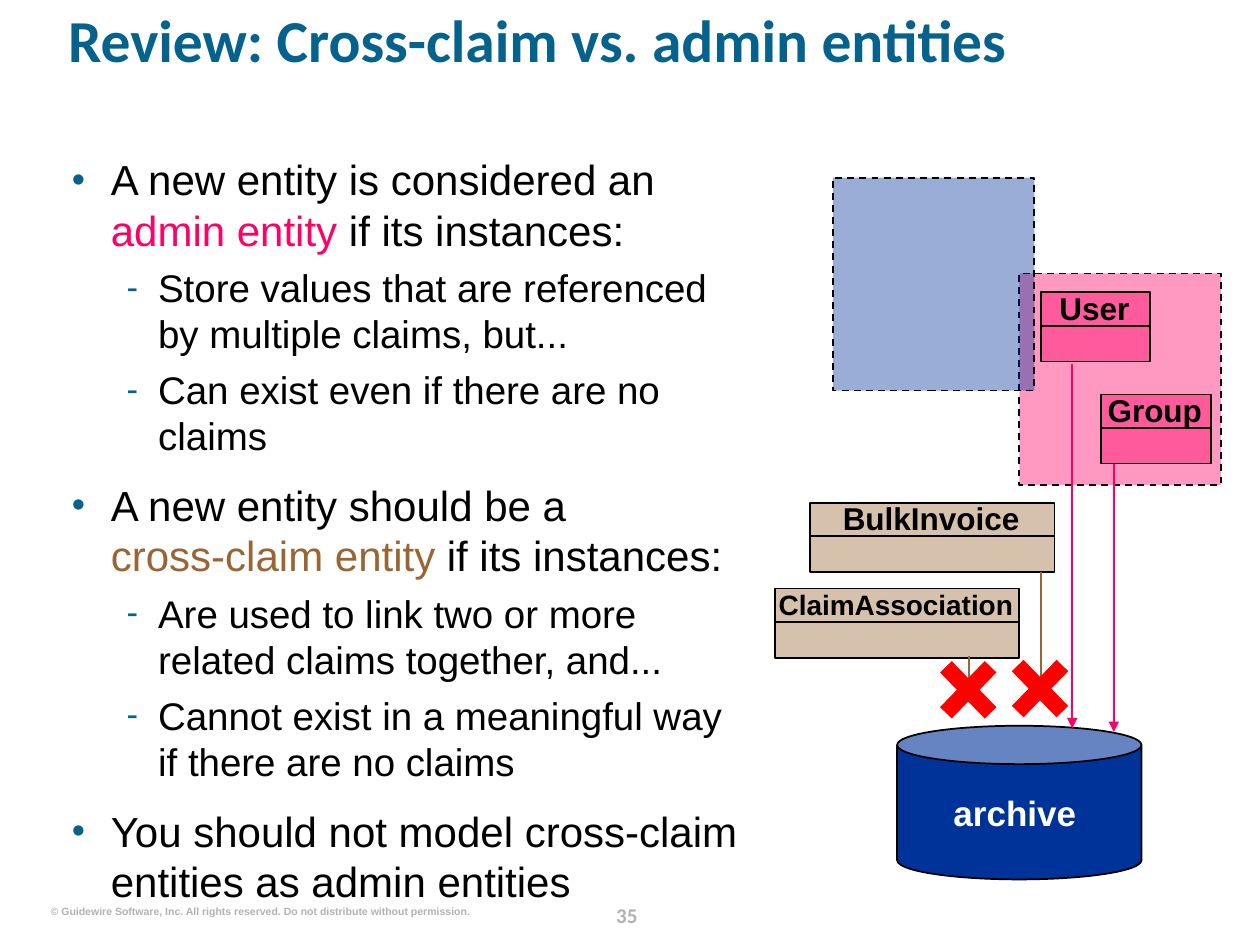
from lxml import etree
from pptx import Presentation
from pptx.dml.color import RGBColor
from pptx.enum.dml import MSO_LINE
from pptx.enum.shapes import MSO_CONNECTOR, MSO_SHAPE
from pptx.enum.text import MSO_ANCHOR, MSO_AUTO_SIZE, PP_ALIGN
from pptx.oxml.ns import qn
from pptx.util import Inches, Pt

RECTANGLE, CAN = MSO_SHAPE.RECTANGLE, MSO_SHAPE.CAN
LEFT, CENTER, RIGHT = PP_ALIGN.LEFT, PP_ALIGN.CENTER, PP_ALIGN.RIGHT
COLORS = {
    "teal": "04628C", "gray": "B2B2B2", "black": "000000", "white": "FFFFFF",
    "pink": "FF0066", "brown": "996633", "navy": "003399", "red": "FF0000",
}

presentation = Presentation()
presentation.slide_width, presentation.slide_height = Inches(10), Inches(7.5)
column = presentation.slide_width / 100
row = presentation.slide_height / 75
slide = presentation.slides.add_slide(presentation.slide_layouts[1])


def write(shape, box, runs, size, color, font="Arial", bold=True, align=CENTER, wrap=True):
    """Place a text shape on the grid and add one paragraph of (text, color) runs."""
    left, top, width, height = box
    shape.left, shape.top = int(left * column), int(top * row)
    shape.width, shape.height = int(width * column), int(height * row)
    frame = shape.text_frame
    frame.margin_left = frame.margin_right = frame.margin_top = frame.margin_bottom = 0
    frame.word_wrap = wrap
    frame.auto_size = MSO_AUTO_SIZE.NONE
    frame.vertical_anchor = MSO_ANCHOR.TOP
    paragraph = frame.paragraphs[0]
    if paragraph.runs:
        paragraph = frame.add_paragraph()
    paragraph.alignment = align
    for text, run_color in runs:
        if text == "\n":
            paragraph.add_line_break()
            continue
        run = paragraph.add_run()
        run.text = text
        run.font.name, run.font.size, run.font.bold = font, Pt(size), bold
        run.font.color.rgb = RGBColor.from_string(COLORS[run_color or color])
    return paragraph


def add_box(kind, box, fill, alpha=None, outline=True, dashed=False):
    left, top, width, height = box
    shape = slide.shapes.add_shape(kind, int(left * column), int(top * row),
                                   int(width * column), int(height * row))
    shape.shadow.inherit = False
    shape.fill.solid()
    shape.fill.fore_color.rgb = RGBColor.from_string(COLORS[fill])
    if alpha:
        color = shape.fill._xPr.find(qn("a:solidFill"))[0]
        etree.SubElement(color, qn("a:alpha"), val=str(alpha * 1000))
    if outline:
        shape.line.color.rgb = RGBColor.from_string(COLORS["black"])
        shape.line.width = Pt(1)
        if dashed:
            shape.line.dash_style = MSO_LINE.DASH
    else:
        shape.line.fill.background()
    return shape


# Title
title = write(slide.shapes.title, (5.4, 1.3, 91, 8.1),
              [("Review: Cross-claim vs. admin entities", None)],
              34, "teal", font="Calibri", align=LEFT)
title.line_spacing = 0.8

# Bulleted list: level and runs
points = [
    (0, [("A new entity is considered an", None), ("\n", None),
         ("admin entity", "pink"), (" if its instances:", None)]),
    (1, [("Store values that are referenced by multiple claims, but...", None)]),
    (1, [("Can exist even if there are no claims", None)]),
    (0, [("A new entity should be a", None), ("\n", None),
         ("cross-claim entity", "brown"), (" if its instances:", None)]),
    (1, [("Are used to link two or more related claims together, and...", None)]),
    (1, [("Cannot exist in a meaningful way if there are no claims", None)]),
    (0, [("You should not model cross-claim entities as admin entities", None)]),
]
# Per level: text size, space before, bullet, left margin, hanging indent
levels = [(24, 12, "•", 3.1, 3.1), (22, 5.5, "-", 6.85, 2.5)]
body = slide.placeholders[1]
for number, (level, runs) in enumerate(points):
    size, space, bullet, margin, hanging = levels[level]
    paragraph = write(body, (5.7, 12.2, 53.5, 59.6), runs, size, "black",
                      bold=False, align=LEFT)
    paragraph.level = level
    paragraph.line_spacing = 1.0
    paragraph.space_before = Pt(space if number else 0)
    properties = paragraph._p.get_or_add_pPr()
    properties.set("marL", str(int(margin * column)))
    properties.set("indent", str(int(-hanging * column)))
    bullet_color = etree.SubElement(properties, qn("a:buClr"))
    etree.SubElement(bullet_color, qn("a:srgbClr"), val=COLORS["teal"])
    etree.SubElement(properties, qn("a:buSzPct"), val="90000")
    etree.SubElement(properties, qn("a:buFont"), typeface="Arial")
    etree.SubElement(properties, qn("a:buChar"), char=bullet)

# Overlapping zones
add_box(RECTANGLE, (80.9, 21.7, 16, 16.8), "pink", alpha=40, dashed=True)
add_box(RECTANGLE, (66.1, 14.1, 16, 16.9), "navy", alpha=40, dashed=True)

# Entities: name, left, top, width, color, text size
entities = [
    ("Group", 87.4, 31.3, 8.7, "pink", 18),
    ("User", 82.6, 23.2, 8.7, "pink", 18),
    ("BulkInvoice", 64.3, 39.9, 19.4, "brown", 18),
    ("ClaimAssociation", 61.5, 46.7, 19.4, "brown", 16),
]
lines = []
for name, left, top, width, color, size in entities:
    add_box(RECTANGLE, (left, top, width, 5.5), color, alpha=40)
    label_top = top - (0.3 if size == 18 else 0.1)
    write(slide.shapes.add_textbox(0, 0, 0, 0), (left, label_top, width - 0.2, 3),
          [(name, None)], size, "black")
    lines.append((left, top + 2.65, left + width, top + 2.65, "black", False))

# Archive
add_box(CAN, (71.2, 57.6, 19.4, 12.2), "navy")
write(slide.shapes.add_textbox(0, 0, 0, 0), (72.4, 62.8, 16.3, 3.3),
      [("archive", None)], 20, "white")

# Entity dividers and paths to the archive
lines += [
    (85.1, 28.9, 85.1, 57.8, "pink", True),
    (88.4, 36.8, 88.4, 58.1, "pink", True),
    (82.6, 45.4, 82.6, 54.8, "brown", False),
    (76.9, 52.1, 76.9, 55.1, "brown", False),
]
for x1, y1, x2, y2, color, arrow in lines:
    line = slide.shapes.add_connector(MSO_CONNECTOR.STRAIGHT, int(x1 * column),
                                      int(y1 * row), int(x2 * column), int(y2 * row))
    line.line.color.rgb = RGBColor.from_string(COLORS[color])
    line.line.width = Pt(1)
    if arrow:
        etree.SubElement(line.line._get_or_add_ln(), qn("a:tailEnd"), type="triangle")
    etree.SubElement(line._element.spPr, qn("a:effectLst"))

# Crosses on the blocked paths
for left, top in [(81.9, 52.1), (76.2, 52.2)]:
    for angle in (44.1, -44.1):
        bar = add_box(RECTANGLE, (left, top, 1.3, 5.1), "red", outline=False)
        bar.rotation = angle

# Footer
page_number = write(slide.shapes.add_textbox(0, 0, 0, 0), (46.9, 71.1, 5.7, 2.5),
                    [("35", None)], 12, "gray", font="Calibri")
page_number.line_spacing = Pt(18)
write(slide.shapes.add_textbox(0, 0, 0, 0), (4, 71.8, 33.3, 1),
      [("© Guidewire Software, Inc. All rights reserved. "
        "Do not distribute without permission.", None)],
      6, "gray", align=RIGHT, wrap=False)

presentation.save("out.pptx")
